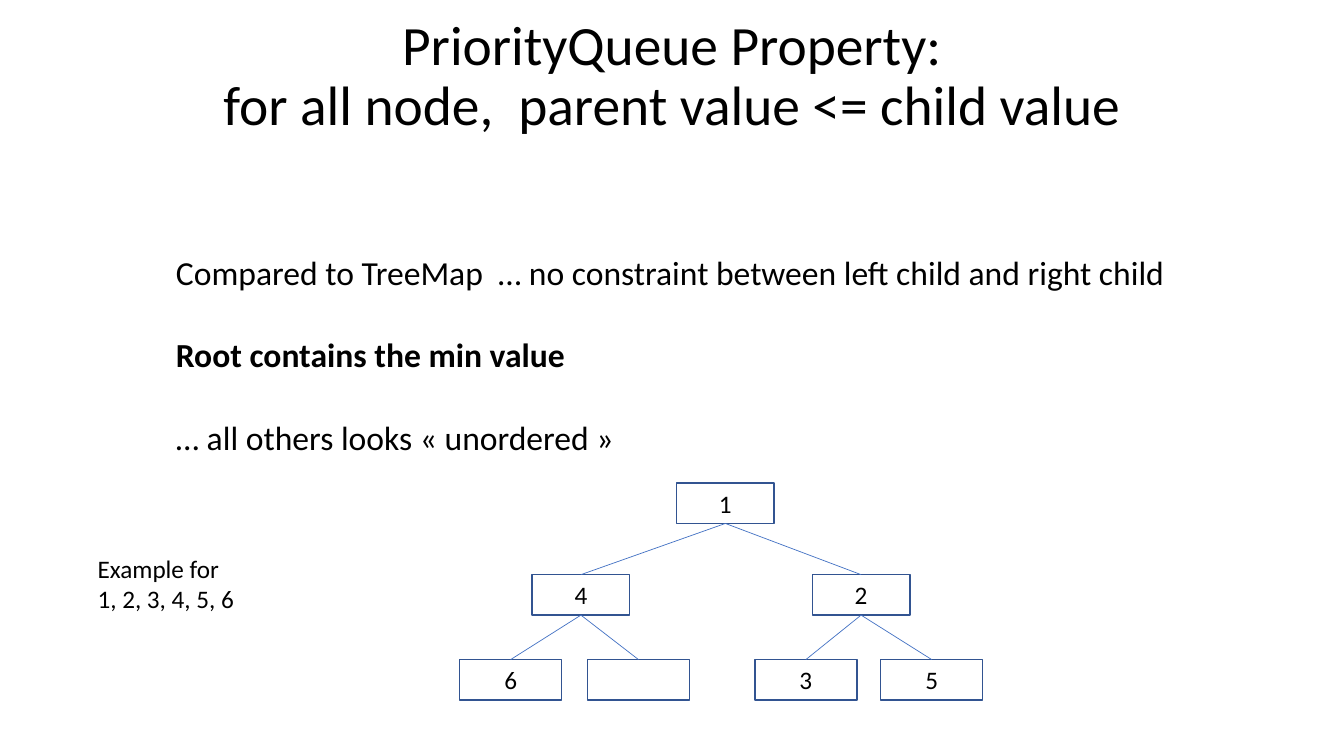
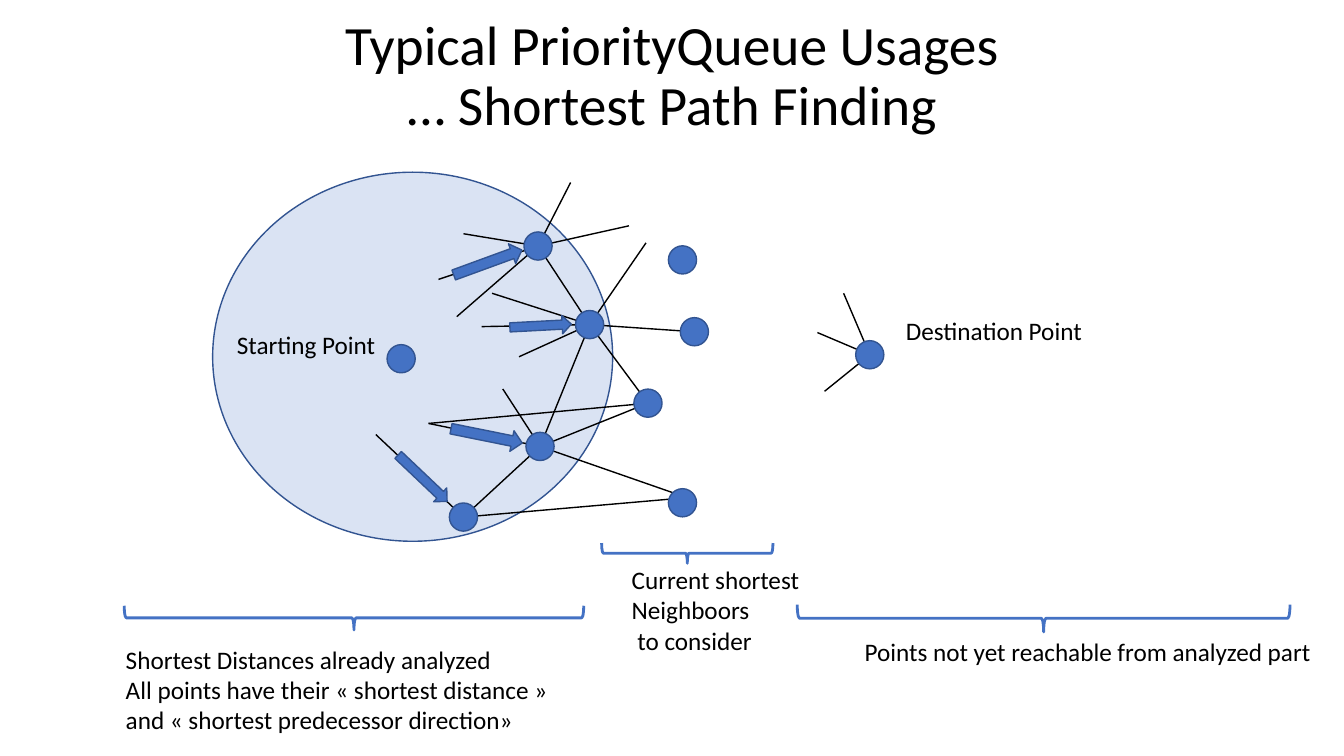
from typing import NamedTuple

from lxml import etree
from pptx import Presentation
from pptx.dml.color import RGBColor
from pptx.enum.shapes import MSO_CONNECTOR, MSO_SHAPE
from pptx.enum.text import MSO_ANCHOR, MSO_AUTO_SIZE, PP_ALIGN
from pptx.oxml.ns import qn
from pptx.util import Cm, Pt

# Shared look
FONT = "Calibri"
BLACK = RGBColor(0x00, 0x00, 0x00)
BLUE = RGBColor(0x44, 0x72, 0xC4)
DARK_BLUE = RGBColor(0x32, 0x54, 0x91)
PALE_BLUE = RGBColor(0xDA, 0xE3, 0xF3)
TITLE_SIZE, BODY_SIZE, LABEL_SIZE = 39.6, 24, 18

RECTANGLE = MSO_SHAPE.RECTANGLE
OVAL = MSO_SHAPE.OVAL
RIGHT_ARROW = MSO_SHAPE.RIGHT_ARROW
RIGHT_BRACE = MSO_SHAPE.RIGHT_BRACE
STRAIGHT = MSO_CONNECTOR.STRAIGHT
CENTER, LEFT = PP_ALIGN.CENTER, PP_ALIGN.LEFT
MIDDLE, TOP = MSO_ANCHOR.MIDDLE, MSO_ANCHOR.TOP
NO_AUTOFIT = MSO_AUTO_SIZE.NONE
TITLE_AND_BODY, TITLE_ONLY = 1, 5
BOTTOM_SITE, TOP_SITE = 2, 0


class Box(NamedTuple):
    """Left, top, width and height in centimetres."""
    left: float
    top: float
    width: float
    height: float

    def lengths(self):
        return [Cm(value) for value in self]


class Point(NamedTuple):
    x: float
    y: float


class Label(NamedTuple):
    box: Box
    lines: list[str]


class TreeNode(NamedTuple):
    value: str
    center_x: float
    top: float
    width: float


class Arrow(NamedTuple):
    box: Box
    angle: float


class Brace(NamedTuple):
    center: Point
    length: float
    depth: float


# Shared drawing functions
def add_run(paragraph, text: str, size: float, bold: bool = False) -> None:
    run = paragraph.add_run()
    run.text = text
    run.font.name = FONT
    run.font.size = Pt(size)
    run.font.bold = bold
    run.font.color.rgb = BLACK


def place(shape, box: Box) -> None:
    shape.left, shape.top, shape.width, shape.height = box.lengths()


def new_slide(deck, layout: int, title_lines: list[str]):
    slide = deck.slides.add_slide(deck.slide_layouts[layout])
    title = slide.shapes.title
    place(title, Box(2.33, 0.38, 29.21, 3.15))
    frame = title.text_frame
    frame.auto_size = NO_AUTOFIT
    frame.vertical_anchor = MIDDLE
    paragraph = frame.paragraphs[0]
    paragraph.alignment = CENTER
    paragraph.line_spacing = 0.9
    for index, line in enumerate(title_lines):
        if index:
            paragraph.add_line_break()
        add_run(paragraph, line, TITLE_SIZE)
    return slide


def add_label(slide, label: Label) -> None:
    frame = slide.shapes.add_textbox(*label.box.lengths()).text_frame
    frame.word_wrap = True
    for index, line in enumerate(label.lines):
        paragraph = frame.add_paragraph() if index else frame.paragraphs[0]
        add_run(paragraph, line, LABEL_SIZE)


def add_figure(slide, kind, box: Box, fill: RGBColor | None = None,
               line: RGBColor = DARK_BLUE, weight: float = 1):
    figure = slide.shapes.add_shape(kind, *box.lengths())
    figure.shadow.inherit = False
    if fill is None:
        figure.fill.background()
    else:
        figure.fill.solid()
        figure.fill.fore_color.rgb = fill
    figure.line.color.rgb = line
    figure.line.width = Pt(weight)
    return figure


def add_edge(slide, start: Point, end: Point, color: RGBColor, weight: float):
    ends = [Cm(value) for value in (*start, *end)]
    edge = slide.shapes.add_connector(STRAIGHT, *ends)
    edge.line.color.rgb = color
    edge.line.width = Pt(weight)
    etree.SubElement(edge._element.spPr, qn("a:effectLst"))
    return edge


# Slide 1: the heap property
STATEMENTS = [
    ("Compared to TreeMap  … no constraint between left child and right child", False),
    ("Root contains the min value", True),
    ("… all others looks «\u00a0unordered\u00a0»".replace("\u00a0", " "), False),
]
NODE_HEIGHT = 1.02
ROOT_TOP, CHILD_TOP, LEAF_TOP = 12.17, 14.48, 16.62
NODE_WIDTH, LEAF_WIDTH = 2.46, 2.57
# Heap order: the parent of node i is node (i - 1) // 2
HEAP = [
    TreeNode("1", 18.28, ROOT_TOP, NODE_WIDTH),
    TreeNode("4", 14.64, CHILD_TOP, NODE_WIDTH),
    TreeNode("2", 21.7, CHILD_TOP, NODE_WIDTH),
    TreeNode("6", 12.87, LEAF_TOP, LEAF_WIDTH),
    TreeNode("", 16.09, LEAF_TOP, LEAF_WIDTH),
    TreeNode("3", 20.31, LEAF_TOP, LEAF_WIDTH),
    TreeNode("5", 23.48, LEAF_TOP, LEAF_WIDTH),
]


def add_statements(slide) -> None:
    body = slide.placeholders[1]
    place(body, Box(4.18, 6.22, 26.2, 5.6))
    frame = body.text_frame
    frame.auto_size = NO_AUTOFIT
    frame.vertical_anchor = TOP
    for index, (text, bold) in enumerate(STATEMENTS):
        paragraph = frame.add_paragraph() if index else frame.paragraphs[0]
        properties = paragraph._p.get_or_add_pPr()
        properties.set("marL", "0")
        properties.set("indent", "0")
        etree.SubElement(properties, qn("a:buNone"))
        paragraph.alignment = LEFT
        paragraph.space_before = Pt(30 if index else 0)
        add_run(paragraph, text, BODY_SIZE, bold)


def add_heap(slide) -> None:
    drawn = []
    for index, node in enumerate(HEAP):
        box = Box(node.center_x - node.width / 2, node.top, node.width, NODE_HEIGHT)
        figure = add_figure(slide, RECTANGLE, box)
        if node.value:
            figure.text_frame.vertical_anchor = MIDDLE
            paragraph = figure.text_frame.paragraphs[0]
            paragraph.alignment = CENTER
            add_run(paragraph, node.value, LABEL_SIZE)
        drawn.append(figure)
        if index:
            parent = (index - 1) // 2
            start = Point(HEAP[parent].center_x, HEAP[parent].top + NODE_HEIGHT)
            edge = add_edge(slide, start, Point(node.center_x, node.top), BLUE, 0.5)
            edge.begin_connect(drawn[parent], BOTTOM_SITE)
            edge.end_connect(figure, TOP_SITE)


def build_property_slide(deck) -> None:
    slide = new_slide(deck, TITLE_AND_BODY, [
        "PriorityQueue Property:", "for all node,  parent value <= child value"])
    add_statements(slide)
    add_label(slide, Label(Box(2.21, 13.82, 4.2, 1.8),
                           ["Example for", "1, 2, 3, 4, 5, 6"]))
    add_heap(slide)


# Slide 2: shortest path finding
DOT_SIZE = 0.71
ANALYZED_AREA = Box(5.36, 4.34, 10.08, 9.3)
DOTS = {
    "start": Point(10.11, 9.04),
    "upper": Point(13.56, 6.2),
    "middle": Point(14.86, 8.18),
    "lower": Point(13.61, 11.25),
    "bottom": Point(11.68, 13.03),
    "next upper": Point(17.2, 6.55),
    "next middle": Point(17.5, 8.36),
    "next lower": Point(16.33, 10.16),
    "next bottom": Point(17.2, 12.67),
    "destination": Point(21.92, 8.94),
}
PATHS = [
    ("upper", "middle"), ("middle", "lower"), ("lower", "bottom"),
    ("middle", "next middle"), ("middle", "next lower"), ("lower", "next lower"),
]
# Loose edges: the far ends of the lines that leave each dot
LOOSE_ENDS = {
    "upper": [Point(11.68, 5.89), Point(11.51, 7.98), Point(11.05, 7.04),
              Point(15.85, 5.69), Point(14.38, 4.6)],
    "middle": [Point(13.08, 8.99), Point(12.4, 7.39), Point(12.14, 8.23),
               Point(16.28, 6.12)],
    "lower": [Point(10.8, 10.67), Point(12.67, 9.8), Point(17.2, 12.5)],
    "bottom": [Point(9.47, 10.95), Point(17.2, 12.55)],
    "next lower": [Point(10.8, 10.67)],
    "destination": [Point(20.78, 9.86), Point(20.6, 8.38), Point(21.26, 7.39)],
}
PREDECESSOR_ARROWS = [
    Arrow(Box(11.38, 6.35, 1.83, 0.53), -20.1),
    Arrow(Box(12.85, 7.98, 1.55, 0.46), -3),
    Arrow(Box(11.35, 10.72, 1.83, 0.53), 11.4),
    Arrow(Box(9.8, 11.81, 1.7, 0.48), 43.5),
]
ZONE_BRACES = [
    Brace(Point(8.92, 15.57), 11.58, 0.61),
    Brace(Point(17.32, 13.94), 4.32, 0.51),
    Brace(Point(26.3, 15.58), 12.42, 0.69),
]
ZONE_LABELS = [
    Label(Box(5.72, 8.18, 4.3, 1.02), ["Starting Point"]),
    Label(Box(22.58, 7.82, 5.3, 1.02), ["Destination Point"]),
    Label(Box(2.92, 16.1, 11.8, 2.57), [
        "Shortest Distances already analyzed",
        "All points have their « shortest distance »",
        "and « shortest predecessor direction»"]),
    Label(Box(15.67, 14.1, 5.2, 2.57),
          ["Current shortest", "Neighboors", " to consider"]),
    Label(Box(21.54, 15.9, 12.2, 1.02),
          ["Points not yet reachable from analyzed part"]),
]


def add_brace(slide, brace: Brace) -> None:
    x, y = brace.center
    upright = Box(x - brace.depth / 2, y - brace.length / 2, brace.depth, brace.length)
    add_figure(slide, RIGHT_BRACE, upright, line=BLUE, weight=2).rotation = 90


def build_path_slide(deck) -> None:
    slide = new_slide(deck, TITLE_ONLY, [
        "Typical PriorityQueue Usages", "… Shortest Path Finding"])
    add_figure(slide, OVAL, ANALYZED_AREA, PALE_BLUE)
    # Edges lie under the dots
    for start, end in PATHS:
        add_edge(slide, DOTS[start], DOTS[end], BLACK, 1)
    for dot, ends in LOOSE_ENDS.items():
        for end in ends:
            add_edge(slide, DOTS[dot], end, BLACK, 1)
    for arrow in PREDECESSOR_ARROWS:
        add_figure(slide, RIGHT_ARROW, arrow.box, BLUE).rotation = arrow.angle
    for x, y in DOTS.values():
        dot_box = Box(x - DOT_SIZE / 2, y - DOT_SIZE / 2, DOT_SIZE, DOT_SIZE)
        add_figure(slide, OVAL, dot_box, BLUE)
    # Zones and their captions
    for brace in ZONE_BRACES:
        add_brace(slide, brace)
    for label in ZONE_LABELS:
        add_label(slide, label)


def main() -> None:
    deck = Presentation()
    deck.slide_width, deck.slide_height = Cm(33.87), Cm(19.05)
    build_property_slide(deck)
    build_path_slide(deck)
    deck.save("out.pptx")


if __name__ == "__main__":
    main()
